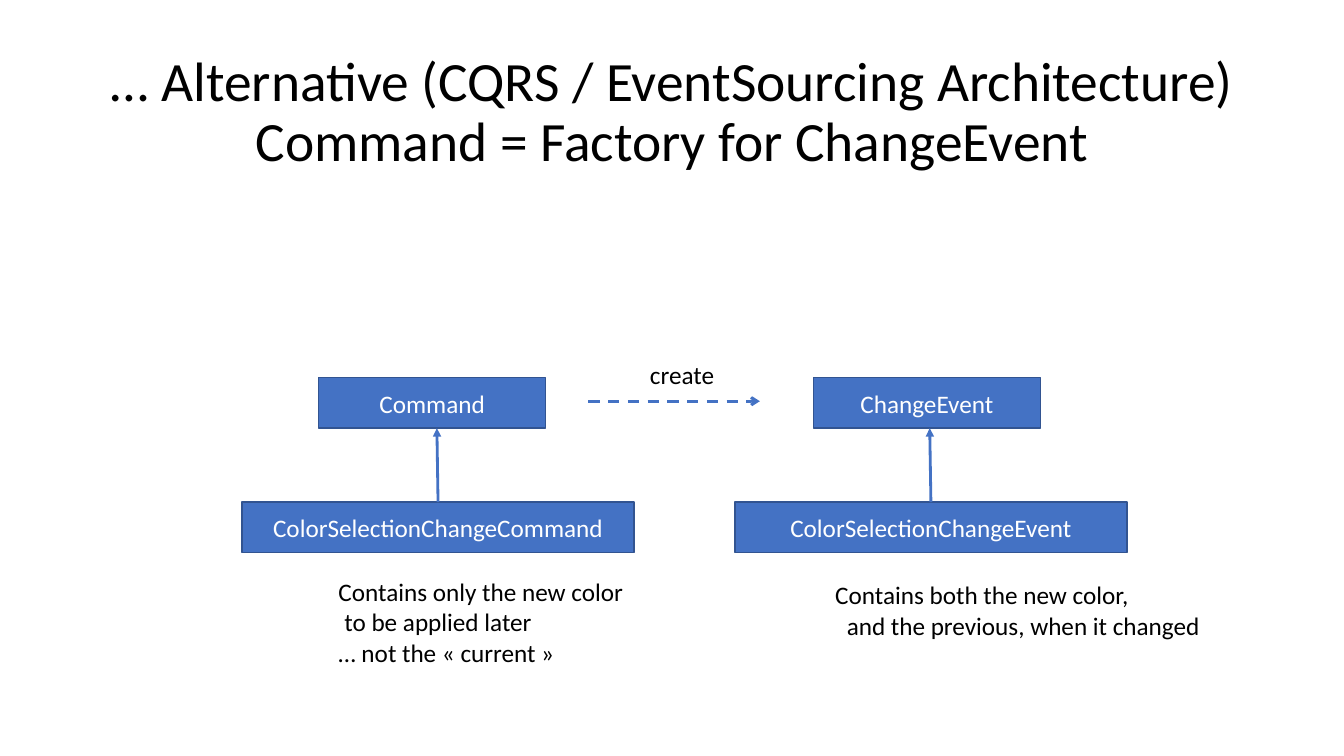
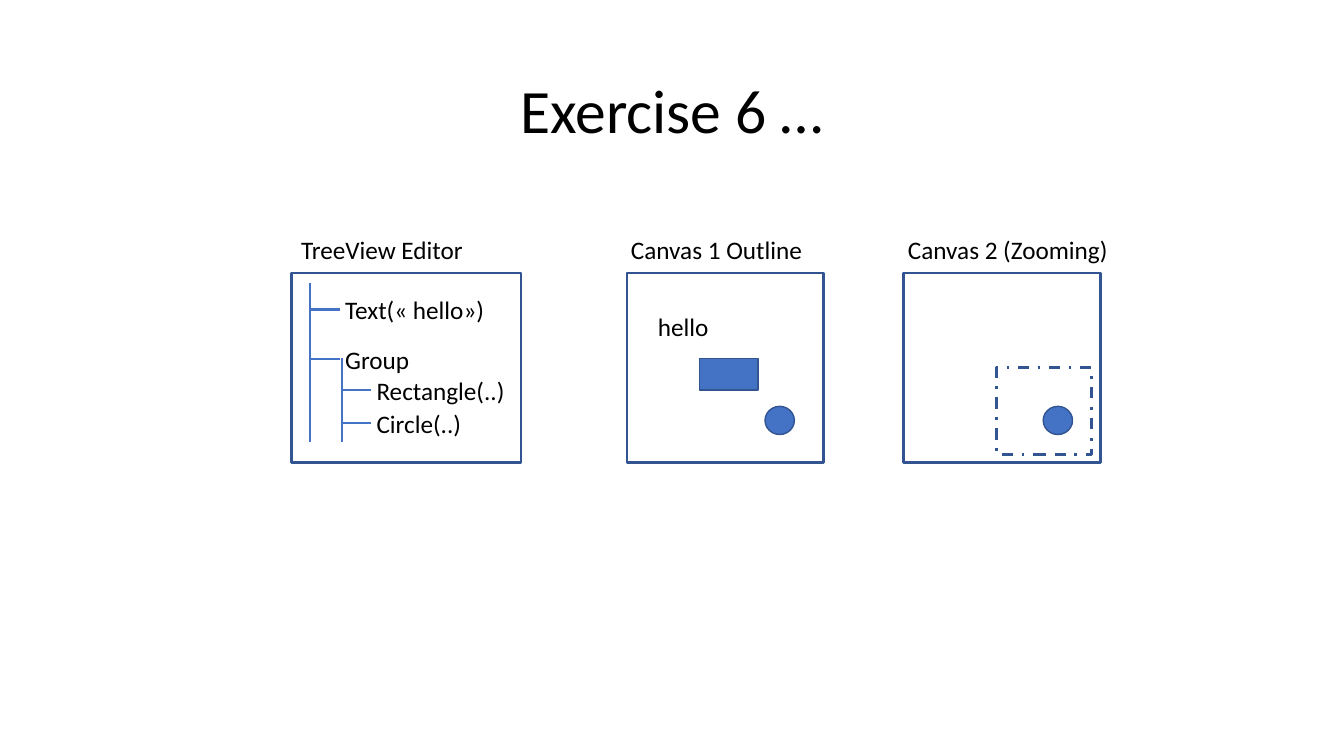
from dataclasses import dataclass
from typing import Optional

from lxml.etree import SubElement
from pptx import Presentation
from pptx.dml.color import RGBColor
from pptx.enum.dml import MSO_LINE
from pptx.enum.shapes import MSO_CONNECTOR, MSO_SHAPE
from pptx.enum.text import MSO_ANCHOR, MSO_AUTO_SIZE, PP_ALIGN
from pptx.oxml.ns import qn
from pptx.presentation import Presentation as Deck
from pptx.slide import Slide
from pptx.text.text import TextFrame
from pptx.util import Cm, Pt

FONT = "Calibri"
BLACK = RGBColor(0, 0, 0)
WHITE = RGBColor(255, 255, 255)
BLUE = RGBColor(0x44, 0x72, 0xC4)
NAVY = RGBColor(0x32, 0x54, 0x91)
ROW = 1.02  # height of a one-line label


@dataclass(frozen=True)
class Area:
    """A rectangle on the slide, in centimetres."""
    left: float
    top: float
    width: float
    height: float

    def lengths(self) -> tuple[Cm, Cm, Cm, Cm]:
        """Give the four measures as lengths."""
        return Cm(self.left), Cm(self.top), Cm(self.width), Cm(self.height)


@dataclass(frozen=True)
class Line:
    """One line of a note, with its indent in centimetres."""
    text: str
    indent: float = 0


@dataclass(frozen=True)
class Column:
    """A base class, its child class and the note below them."""
    base: str
    child: str
    base_left: float
    child_left: float
    note: Area
    lines: tuple[Line, ...]


@dataclass(frozen=True)
class Panel:
    """A framed view with its caption."""
    caption: str
    left: float
    width: float
    text_left: float
    text_width: float


@dataclass(frozen=True)
class Twig:
    """A branch of the tree with its label."""
    text: str
    left: float
    top: float
    width: float


COLUMNS = (
    Column("Command", "ColorSelectionChangeCommand", 8.03, 6.1,
           Area(8.28, 14.4, 7.77, 2.57),
           (Line("Contains only the new color"),
            Line("to be applied later", 0.15),
            Line("… not the «\u00a0current\u00a0»"))),
    Column("ChangeEvent", "ColorSelectionChangeEvent", 20.5, 18.52,
           Area(20.8, 14.48, 9.83, 1.8),
           (Line("Contains both the new color,"),
            Line("and the previous, when it changed", 0.29))),
)
PANELS = (
    Panel("TreeView Editor", 7.34, 5.79, 7.34, 4.62),
    Panel("Canvas 1 Outline", 15.8, 4.95, 15.65, 4.88),
    Panel("Canvas 2 (Zooming)", 22.78, 4.95, 22.63, 5.61),
)
TRUNK, STEM = 7.82, 8.61
TWIGS = (
    Twig("Text(«\u00a0hello»)", TRUNK, 7.8, 4.06),
    Twig("Group", TRUNK, 9.04, 2.13),
    Twig("Rectangle(..)", STEM, 9.83, 3.78),
    Twig("Circle(..)", STEM, 10.67, 2.67),
)


def style(frame: TextFrame, size: float, color: RGBColor,
          align: Optional[PP_ALIGN] = None) -> None:
    """Format every run of a text frame."""
    for para in frame.paragraphs:
        para.alignment = align
        for run in para.runs:
            run.font.name = FONT
            run.font.size = Pt(size)
            run.font.color.rgb = color


def add_page(deck: Deck, text: str, size: float) -> Slide:
    """Add a slide with the shared title style."""
    slide = deck.slides.add_slide(deck.slide_layouts[5])
    title = slide.shapes.title
    place = Area(2.33, 1.02, 29.21, 3.68)
    title.left, title.top, title.width, title.height = place.lengths()
    frame = title.text_frame
    frame.text = text
    frame.word_wrap = True
    frame.auto_size = MSO_AUTO_SIZE.NONE
    frame.vertical_anchor = MSO_ANCHOR.MIDDLE
    style(frame, size, BLACK, PP_ALIGN.CENTER)
    frame.paragraphs[0].line_spacing = 0.9
    return slide


def add_form(slide: Slide, area: Area, text: str = "",
             kind: MSO_SHAPE = MSO_SHAPE.RECTANGLE) -> None:
    """Add a filled shape, with centred text if given."""
    form = slide.shapes.add_shape(kind, *area.lengths())
    form.shadow.inherit = False
    form.fill.solid()
    form.fill.fore_color.rgb = BLUE
    form.line.color.rgb = NAVY
    form.line.width = Pt(1)
    if text:
        form.text_frame.text = text
        form.text_frame.vertical_anchor = MSO_ANCHOR.MIDDLE
        style(form.text_frame, 18, WHITE, PP_ALIGN.CENTER)


def add_frame(slide: Slide, area: Area,
              dash: Optional[MSO_LINE] = None) -> None:
    """Add an unfilled rectangle."""
    form = slide.shapes.add_shape(MSO_SHAPE.RECTANGLE, *area.lengths())
    form.shadow.inherit = False
    form.fill.background()
    form.line.color.rgb = NAVY
    form.line.width = Pt(2)
    form.line.dash_style = dash


def add_note(slide: Slide, area: Area, *lines: Line) -> None:
    """Add plain text, one paragraph a line."""
    frame = slide.shapes.add_textbox(*area.lengths()).text_frame
    frame.word_wrap = False
    frame.auto_size = MSO_AUTO_SIZE.SHAPE_TO_FIT_TEXT
    frame.text = "\n".join(line.text for line in lines)
    for para, line in zip(frame.paragraphs, lines):
        if line.indent:
            para._p.get_or_add_pPr().set("marL", str(Cm(line.indent)))
    style(frame, 18, BLACK)


def add_line(slide: Slide, start: tuple[float, float],
             end: tuple[float, float], width: float = 1.5,
             head: str = "", dash: Optional[MSO_LINE] = None) -> None:
    """Add a straight line, with an arrowhead at its end if named."""
    link = slide.shapes.add_connector(
        MSO_CONNECTOR.STRAIGHT, *map(Cm, start + end))
    link.line.color.rgb = BLUE
    link.line.width = Pt(width)
    link.line.dash_style = dash
    if head:
        SubElement(link.line._get_or_add_ln(), qn("a:tailEnd"), type=head)
    SubElement(link._element.spPr, qn("a:effectLst"))


def draw_classes(deck: Deck) -> None:
    """Draw the command and event classes."""
    slide = add_page(deck, "… Alternative (CQRS / EventSourcing Architecture)"
                     "\vCommand = Factory for ChangeEvent", 39.6)
    high, low, tall, wide = 9.52, 12.65, 1.27, 9.88
    for col in COLUMNS:
        add_form(slide, Area(col.base_left, high, 5.72, tall), col.base)
        add_form(slide, Area(col.child_left, low, wide, tall), col.child)
        mid = col.child_left + wide / 2
        add_line(slide, (mid, low), (mid - 0.03, high + tall), 2, "triangle")
        add_note(slide, col.note, *col.lines)
    add_line(slide, (14.83, 10.11), (19.15, 10.11), 2, "arrow", MSO_LINE.DASH)
    add_note(slide, Area(16.13, 8.94, 2.16, ROW), Line("create"))


def draw_views(deck: Deck) -> None:
    """Draw the tree view and the two canvases."""
    slide = add_page(deck, "Exercise 6 …", 44)
    for pane in PANELS:
        add_frame(slide, Area(pane.left, 6.88, pane.width, 4.78))
        add_note(slide, Area(pane.text_left, 5.77, pane.text_width, ROW),
                 Line(pane.caption))
    add_note(slide, Area(16.33, 7.72, 1.93, ROW), Line("hello"))
    add_form(slide, Area(17.63, 9.04, 1.47, 0.79))
    for left in (19.28, 26.29):
        add_form(slide, Area(left, 10.24, 0.74, 0.71), kind=MSO_SHAPE.OVAL)
    add_frame(slide, Area(25.12, 9.27, 2.39, 2.18), MSO_LINE.DASH_DOT)
    for left, top in ((TRUNK, 7.14), (STEM, 9.02)):
        add_line(slide, (left, top), (left, 11.15))
    for twig in TWIGS:
        add_line(slide, (twig.left, twig.top), (twig.left + 0.75, twig.top))
        add_note(slide, Area(twig.left + 0.63, twig.top - 0.5,
                             twig.width, ROW), Line(twig.text))


def main() -> None:
    """Build and save the deck."""
    deck = Presentation()
    deck.slide_width, deck.slide_height = Cm(33.87), Cm(19.05)
    draw_classes(deck)
    draw_views(deck)
    deck.save("out.pptx")


main()
